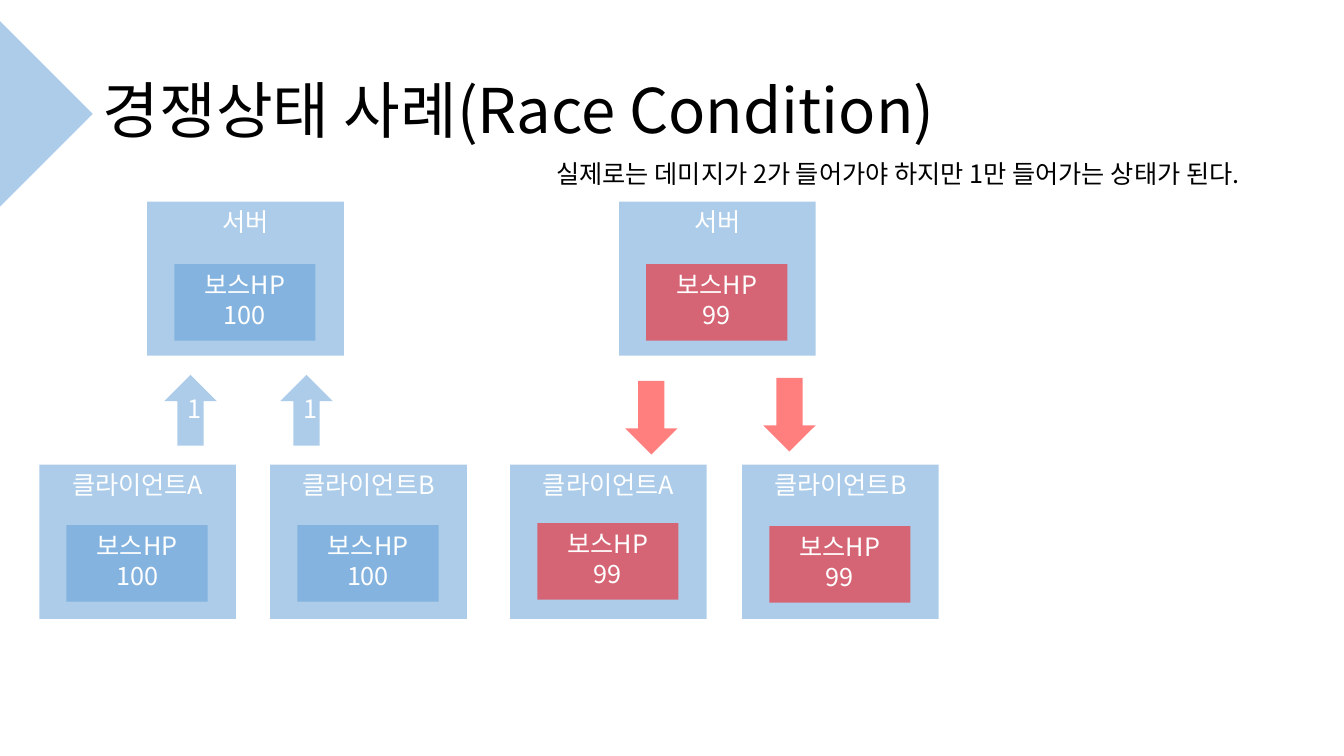
import pptx
import pptx.util
import pptx.dml.color
import pptx.enum.shapes
import pptx.enum.text
import pptx.oxml
import pptx.oxml.ns

Inches = pptx.util.Inches
SHAPE = pptx.enum.shapes.MSO_SHAPE
ALIGN = pptx.enum.text.PP_ALIGN
ANCHOR = pptx.enum.text.MSO_ANCHOR

COLORS = {"blue": "5B9BD5", "red": "FF0000", "white": "FFFFFF", "black": "000000"}
FONT = "Noto Sans CJK KR"


class SlideBuilder:
    def __init__(self, slide):
        self.s = slide

    def rgb(self, color):
        return pptx.dml.color.RGBColor.from_string(COLORS[color])

    def fill_text(self, tf, text, color, size=18, align=ALIGN.LEFT, anchor=ANCHOR.TOP):
        tf.word_wrap = True
        tf.vertical_anchor = anchor
        p = tf.paragraphs[0]
        p.text = text.replace("\n", "\v")
        p.alignment = align
        font_format = {"name": FONT, "size": pptx.util.Pt(size), "bold": False}
        for r in p.runs:
            for key, value in font_format.items():
                setattr(r.font, key, value)
            r.font.color.rgb = self.rgb(color)
            # East Asian typeface follows the Latin one
            ea = pptx.oxml.parse_xml(
                f'<a:ea {pptx.oxml.ns.nsdecls("a")} typeface="{FONT}"/>')
            r.font._element.find(pptx.oxml.ns.qn("a:latin")).addnext(ea)
        return p

    def title(self, text, left, top, width, height):
        sp = self.s.shapes.title
        box = {"left": left, "top": top, "width": width, "height": height}
        for key, value in box.items():
            setattr(sp, key, Inches(value))
        p = self.fill_text(sp.text_frame, text, "black", 44, anchor=ANCHOR.MIDDLE)
        p.line_spacing = 0.9

    def text(self, text, left, top, width, height):
        sp = self.s.shapes.add_textbox(*map(Inches, (left, top, width, height)))
        self.fill_text(sp.text_frame, text, "black")

    def shape(self, kind, color, left, top, width, height, text=""):
        sp = self.s.shapes.add_shape(kind, *map(Inches, (left, top, width, height)))
        sp.shadow.inherit = False
        sp.line.fill.background()
        sp.fill.solid()
        sp.fill.fore_color.rgb = self.rgb(color)
        # Half transparent fill
        clr = sp._element.spPr.find(".//" + pptx.oxml.ns.qn("a:srgbClr"))
        clr.append(pptx.oxml.parse_xml(
            f'<a:alpha {pptx.oxml.ns.nsdecls("a")} val="50000"/>'))
        if text:
            self.fill_text(sp.text_frame, text, "white", align=ALIGN.CENTER)

    def machine(self, name, left, top, hp, color, hp_top):
        self.shape(SHAPE.RECTANGLE, "blue", left, top, 1.95, 1.53, name)
        self.shape(SHAPE.RECTANGLE, color, left + 0.27, hp_top, 1.4, 0.76,
                   f"보스HP\n{hp}")


def main():
    prs = pptx.Presentation()
    prs.slide_width, prs.slide_height = Inches(13.33), Inches(7.5)
    b = SlideBuilder(prs.slides.add_slide(prs.slide_layouts[5]))

    # Heading
    b.title("경쟁상태 사례(Race Condition)", 0.92, 0.4, 11.5, 1.45)
    b.shape(SHAPE.RIGHT_ARROW, "blue", -12.17, 0.16, 13.09, 1.94)
    b.text("실제로는 데미지가 2가 들어가야 하지만 1만 들어가는 상태가 된다.",
           5.42, 1.52, 7.83, 0.4)

    # Servers and their clients, before and after the hits
    stages = [
        (100, "blue", 1.46, [("A", 0.39, 5.21), ("B", 2.68, 5.21)]),
        (99, "red", 6.14, [("A", 5.06, 5.19), ("B", 7.36, 5.22)]),
    ]
    for hp, color, server_left, clients in stages:
        b.machine("서버", server_left, 2, hp, color, 2.62)
        for name, left, hp_top in clients:
            b.machine(f"클라이언트{name}", left, 4.61, hp, color, hp_top)

    # Damage sent up, result sent down
    for left in (1.63, 2.78):
        b.shape(SHAPE.UP_ARROW, "blue", left, 3.72, 0.52, 0.7, "1")
    for left, top in ((6.2, 3.78), (7.57, 3.75)):
        b.shape(SHAPE.DOWN_ARROW, "red", left, top, 0.52, 0.73)

    prs.save("out.pptx")


if __name__ == "__main__":
    main()
